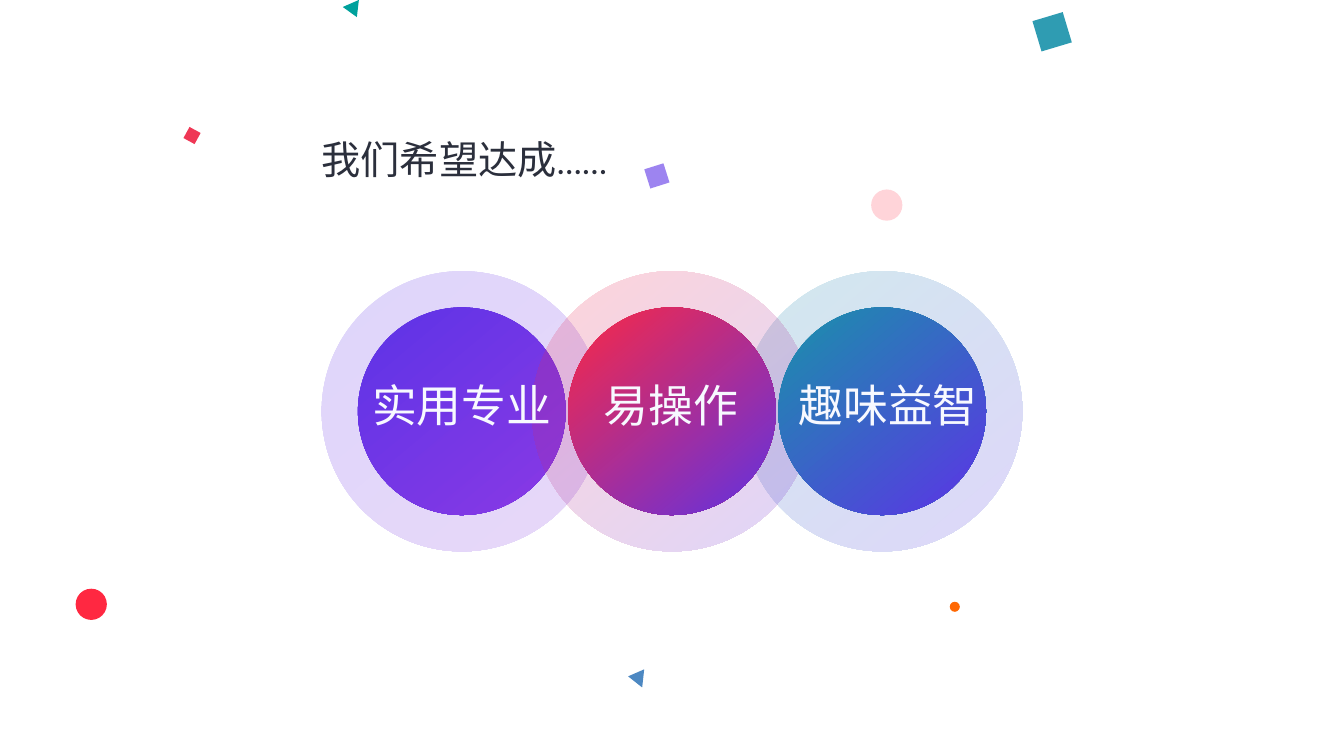
from lxml.etree import SubElement
from pptx import Presentation
from pptx.dml.color import RGBColor
from pptx.enum.shapes import MSO_SHAPE
from pptx.enum.text import MSO_ANCHOR, PP_ALIGN
from pptx.oxml.ns import qn
from pptx.util import Inches, Pt

FONT = "Montserrat"
RED, TEAL, VIOLET, PURPLE = "FF2841", "1992AA", "5C33E6", "8B3AE5"
HALO, CORE = 2.78, 2.06
CENTER_Y, STEP = 4.08, 2.085


def rgb(value):
    return RGBColor.from_string(value)


def set_alpha(parent, percent):
    """Give every colour inside an element the same opacity."""
    if percent < 100:
        for color in list(parent.iter(qn("a:srgbClr"))):
            SubElement(color, qn("a:alpha")).set("val", str(percent * 1000))


def finish(s, color, alpha=100):
    s.shadow.inherit = False
    s.line.fill.background()
    s.fill.solid()
    s.fill.fore_color.rgb = rgb(color)
    set_alpha(s._element.spPr, alpha)


def add_dot(slide, x, y, size, color, alpha=100):
    s = slide.shapes.add_shape(MSO_SHAPE.OVAL, Inches(x), Inches(y),
                               Inches(size), Inches(size))
    finish(s, color, alpha)


def add_polygon(slide, points, color, alpha=100):
    corners = [(Inches(x), Inches(y)) for x, y in points]
    builder = slide.shapes.build_freeform(*corners[0])
    builder.add_line_segments(corners[1:], close=True)
    finish(builder.convert_to_shape(), color, alpha)


def add_disc(slide, center_x, size, colors, alpha=100):
    s = slide.shapes.add_shape(
        MSO_SHAPE.OVAL, Inches(center_x - size / 2), Inches(CENTER_Y - size / 2),
        Inches(size), Inches(size))
    s.shadow.inherit = False
    s.line.fill.background()
    s.fill.gradient()
    s.fill.gradient_angle = 310  # counter-clockwise, so 50 degrees downward
    for stop, color in zip(s.fill.gradient_stops, colors):
        stop.color.rgb = rgb(color)
    set_alpha(s._element.spPr, alpha)


def write_text(s, text, size, color, wrap=False, spacing=1.0):
    tf = s.text_frame
    tf.margin_left = tf.margin_right = tf.margin_top = tf.margin_bottom = 0
    tf.word_wrap = wrap
    tf.vertical_anchor = MSO_ANCHOR.TOP
    p = tf.paragraphs[0]
    p.alignment = PP_ALIGN.LEFT
    p.line_spacing = spacing
    r = p.add_run()
    r.text = text
    r.font.name = FONT
    r.font.size = Pt(size)
    r.font.color.rgb = rgb(color)
    ea = SubElement(r._r.get_or_add_rPr(), qn("a:ea"))
    ea.set("typeface", FONT)


def add_label(slide, text, x, width):
    s = slide.shapes.add_textbox(Inches(x), Inches(3.75), Inches(width), Inches(0.54))
    write_text(s, text, 32, "F7F9FF")


def add_title(slide, text):
    s = slide.shapes.title
    s.left, s.top, s.width, s.height = map(Inches, (3.19, 1.11, 2.9, 0.63))
    write_text(s, text, 28, "2B2F3C", wrap=True, spacing=1.5)


def main():
    prs = Presentation()
    prs.slide_width, prs.slide_height = Inches(13.33), Inches(7.5)
    slide = prs.slides.add_slide(prs.slide_layouts[5])
    add_title(slide, "我们希望达成……")

    # Overlapping goal circles, back to front
    middle = 13.33 / 2
    left, right = middle - STEP, middle + STEP
    add_disc(slide, right, HALO, (TEAL, VIOLET), 20)
    for center_x, colors in ((left, (VIOLET, PURPLE)), (middle, (RED, VIOLET))):
        add_disc(slide, center_x, CORE, colors)
        add_disc(slide, center_x, HALO, colors, 20)
    add_disc(slide, right, CORE, (TEAL, VIOLET))

    # Goal names
    for text, x, width in (("实用专业", 3.69, 1.8), ("易操作", 5.99, 1.35),
                           ("趣味益智", 7.92, 1.82)):
        add_label(slide, text, x, width)

    # Scattered confetti
    for points, color, alpha in (
        ([(3.56, 0), (3.54, 0.17), (3.4, 0.07)], "00A19C", 100),
        ([(10.54, 0.12), (10.63, 0.42), (10.33, 0.51), (10.24, 0.21)], TEAL, 90),
        ([(6.58, 1.62), (6.64, 1.81), (6.45, 1.87), (6.39, 1.68)], VIOLET, 60),
        ([(1.99, 1.32), (1.93, 1.43), (1.82, 1.37), (1.88, 1.26)], "EF3755", 100),
        ([(6.39, 6.64), (6.37, 6.82), (6.23, 6.71)], "4D88C2", 100),
    ):
        add_polygon(slide, points, color, alpha)
    add_dot(slide, 9.42, 5.97, 0.1, "FF6802")
    add_dot(slide, 8.64, 1.88, 0.31, RED, 20)
    add_dot(slide, 0.75, 5.84, 0.31, RED)

    prs.save("out.pptx")


main()
